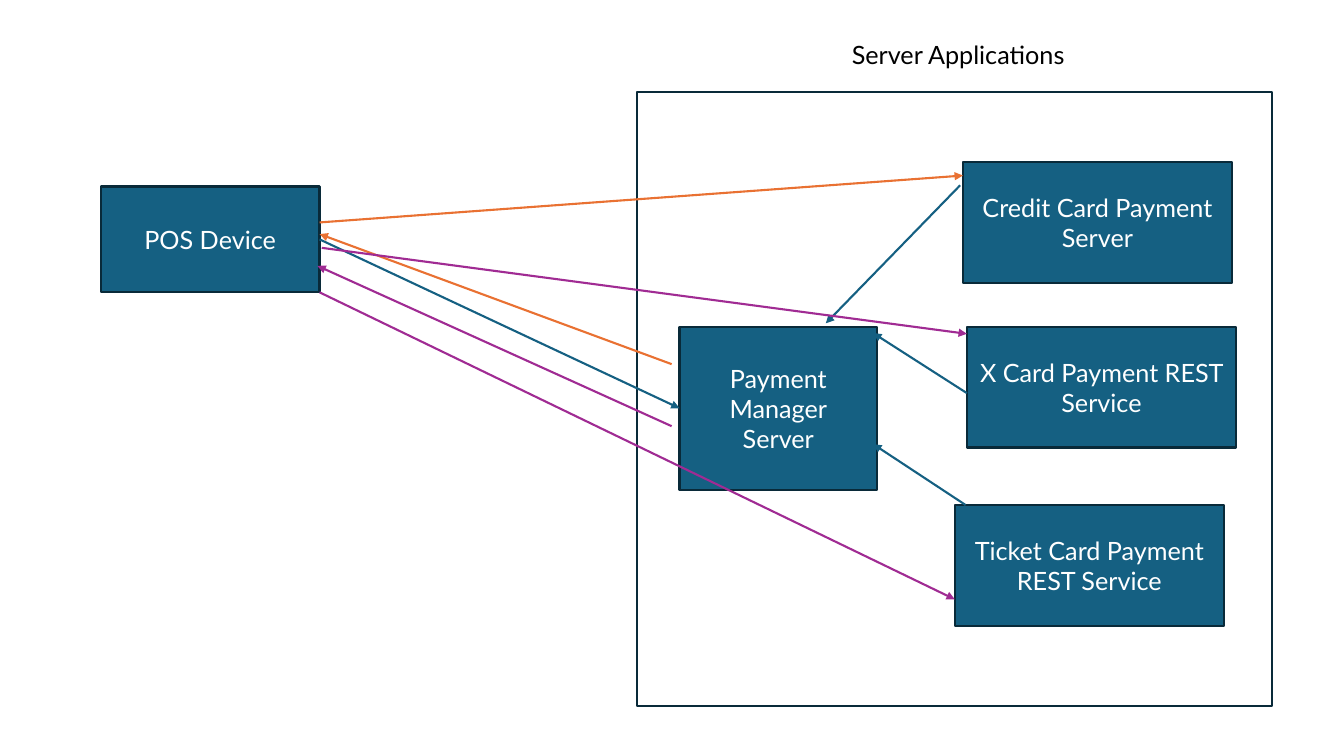
from dataclasses import dataclass

from lxml import etree
from pptx import Presentation
from pptx.dml.color import RGBColor
from pptx.enum.shapes import MSO_CONNECTOR, MSO_SHAPE
from pptx.enum.text import MSO_ANCHOR, PP_ALIGN
from pptx.oxml.ns import qn
from pptx.util import Inches, Pt

RECTANGLE = MSO_SHAPE.RECTANGLE
STRAIGHT = MSO_CONNECTOR.STRAIGHT
MIDDLE = MSO_ANCHOR.MIDDLE
CENTER = PP_ALIGN.CENTER
LEFT = PP_ALIGN.LEFT
LEFT_SIDE, RIGHT_SIDE = 1, 3

BLUE = RGBColor(0x15, 0x60, 0x82)
OUTLINE = RGBColor(0x09, 0x2A, 0x39)
ORANGE = RGBColor(0xE9, 0x71, 0x32)
PURPLE = RGBColor(0xA0, 0x2B, 0x93)
WHITE = RGBColor(0xFF, 0xFF, 0xFF)
BLACK = RGBColor(0x00, 0x00, 0x00)

FONT = "Lato"
TEXT_SIZE = Pt(18)
LINE_WIDTH = Pt(1.5)
CELL = Inches(0.1)  # the slide is a grid of 133.3 columns by 75 rows
SERVICE_SIZE = (26.7, 12)


@dataclass
class Box:
    """An area of the slide in grid columns and rows."""
    left: float
    top: float
    width: float
    height: float

    def inner(self, left, top, width, height):
        return Box(self.left + left, self.top + top, width, height)

    def point(self, across, down):
        return (self.left + across * self.width, self.top + down * self.height)

    def lengths(self):
        return to_lengths(self.left, self.top, self.width, self.height)


def to_lengths(*cells):
    return [round(cell * CELL) for cell in cells]


def write_lines(frame, lines, color, alignment):
    frame.word_wrap = True
    for index, line in enumerate(lines):
        para = frame.paragraphs[0] if index == 0 else frame.add_paragraph()
        para.alignment = alignment
        span = para.add_run()
        span.text = line
        span.font.name = FONT
        span.font.size = TEXT_SIZE
        span.font.color.rgb = color


def draw_rectangle(page, box, lines=(), fill=None):
    shape = page.shapes.add_shape(RECTANGLE, *box.lengths())
    shape.shadow.inherit = False
    shape.line.color.rgb = OUTLINE
    shape.line.width = LINE_WIDTH
    if fill is None:
        shape.fill.background()
    else:
        shape.fill.solid()
        shape.fill.fore_color.rgb = fill
    shape.text_frame.vertical_anchor = MIDDLE
    write_lines(shape.text_frame, lines, WHITE, CENTER)
    return shape


def draw_arrow(page, start, end, color):
    arrow = page.shapes.add_connector(STRAIGHT, *to_lengths(*start, *end))
    arrow.line.color.rgb = color
    arrow.line.width = LINE_WIDTH
    properties = arrow.element.spPr
    etree.SubElement(properties.find(qn("a:ln")), qn("a:tailEnd"), type="triangle")
    etree.SubElement(properties, qn("a:effectLst"))
    return arrow


def draw_server_area(page, area):
    """Draw the frame, its caption and the servers; return boxes and manager."""
    draw_rectangle(page, area)
    caption = page.shapes.add_textbox(*area.inner(20.3, -5.7, 24, 4).lengths())
    write_lines(caption.text_frame, ["Server Applications"], BLACK, LEFT)

    servers = {
        "manager": (area.inner(4.2, 23.3, 19.6, 16.2), ["Payment Manager", "Server"]),
        "credit": (area.inner(32.3, 7, *SERVICE_SIZE), ["Credit Card Payment Server"]),
        "x": (area.inner(32.7, 23.3, *SERVICE_SIZE), ["X Card Payment REST Service"]),
        "ticket": (area.inner(31.5, 41, *SERVICE_SIZE), ["Ticket Card Payment REST Service"]),
    }
    shapes = {name: draw_rectangle(page, box, lines, BLUE)
              for name, (box, lines) in servers.items()}
    boxes = {name: box for name, (box, lines) in servers.items()}
    return boxes, shapes["manager"]


def draw_messages(page, boxes):
    """Each end is a box name with shares of that box's width and height."""
    messages = [
        (("device", 1, 0.34), ("credit", 0, 0.11), ORANGE),
        (("manager", -0.04, 0.23), ("device", 1, 0.45), ORANGE),
        (("device", 1, 1), ("ticket", 0, 0.78), PURPLE),
        (("manager", -0.04, 0.61), ("device", 0.99, 0.75), PURPLE),
        (("credit", -0.01, 0.19), ("manager", 0.74, -0.02), BLUE),
        (("ticket", 0.04, 0), ("manager", 0.98, 0.72), BLUE),
        (("x", 0, 0.55), ("manager", 0.98, 0.04), BLUE),
        (("device", 1.01, 0.58), ("x", 0, 0.06), PURPLE),
    ]
    for (source, *start), (target, *end), color in messages:
        draw_arrow(page, boxes[source].point(*start), boxes[target].point(*end), color)


def main():
    deck = Presentation()
    deck.slide_width, deck.slide_height = Inches(13.33), Inches(7.5)
    page = deck.slides.add_slide(deck.slide_layouts[6])

    # Servers on the right, device on the left
    boxes, manager = draw_server_area(page, Box(63.2, 9.1, 63, 60.9))
    boxes["device"] = Box(10, 18.5, 21.7, 10.5)
    device = draw_rectangle(page, boxes["device"], ["POS Device"], BLUE)

    # Main link from device to manager, joined at the side middles
    link = draw_arrow(page, boxes["device"].point(1, 0.5),
                      boxes["manager"].point(0, 0.5), BLUE)
    link.begin_connect(device, RIGHT_SIDE)
    link.end_connect(manager, LEFT_SIDE)

    # Remaining messages
    draw_messages(page, boxes)
    deck.save("out.pptx")


if __name__ == "__main__":
    main()
